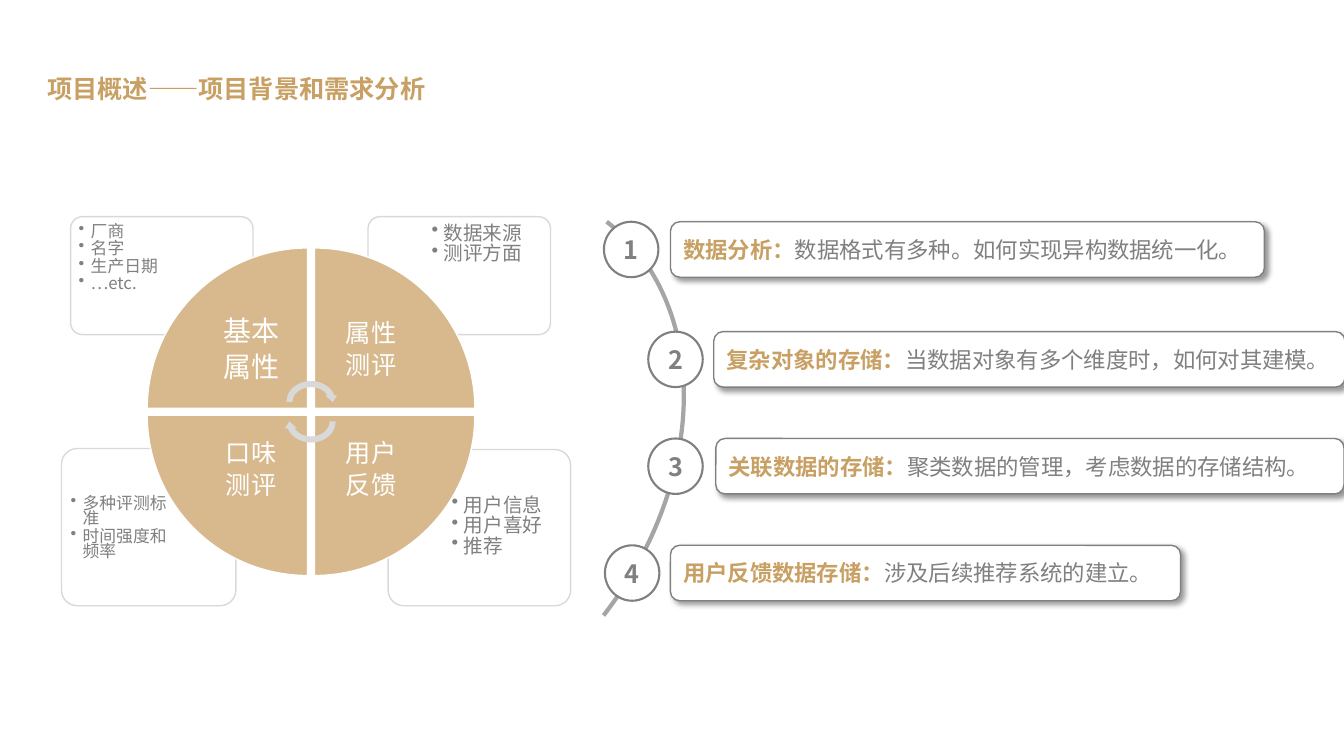
from lxml import etree
from pptx import Presentation
from pptx.dml.color import RGBColor
from pptx.enum.shapes import MSO_SHAPE
from pptx.enum.text import MSO_ANCHOR, PP_ALIGN
from pptx.oxml.ns import qn
from pptx.util import Inches, Pt

ROUND_RECT, OVAL, ARC = MSO_SHAPE.ROUNDED_RECTANGLE, MSO_SHAPE.OVAL, MSO_SHAPE.ARC
WEDGE, CYCLE_ARROW = MSO_SHAPE.PIE_WEDGE, MSO_SHAPE.CIRCULAR_ARROW
TOP, MIDDLE = MSO_ANCHOR.TOP, MSO_ANCHOR.MIDDLE
LEFT, CENTER = PP_ALIGN.LEFT, PP_ALIGN.CENTER

# Content
TITLE = "项目概述——项目背景和需求分析"
# Quadrants clockwise from top left: label, label size, column, row
QUADRANTS = [
    (["基本", "属性"], 20, 0, 0),
    (["属性", "测评"], 18, 1, 0),
    (["用户", "反馈"], 18, 1, 1),
    (["口味", "测评"], 18, 0, 1),
]
# Cards: card box, text box, text size, bullets
CARDS = [
    ((3.85, 4.46, 1.81, 1.55), (4.42, 4.88, 1.2, 1.09), 14, ["用户信息", "用户喜好", "推荐"]),
    ((0.61, 4.45, 1.73, 1.56), (0.65, 4.88, 1.14, 1.1), 12, ["多种评测标准", "时间强度和频率"]),
    ((3.65, 2.15, 1.81, 1.17), (4.22, 2.18, 1.22, 0.83), 14, ["数据来源", "测评方面"]),
    ((0.7, 2.15, 1.81, 1.17), (0.73, 2.18, 1.22, 0.83), 12, ["厂商", "名字", "生产日期", "…etc."]),
]
# Needs: circle left, bar left, top, bar width, heading, detail
NEEDS = [
    (5.99, 6.65, 2.2, 5.89, "数据分析：", "数据格式有多种。如何实现异构数据统一化。"),
    (6.43, 7.08, 3.29, 6.26, "复杂对象的存储：", "当数据对象有多个维度时，如何对其建模。"),
    (6.43, 7.1, 4.35, 6.23, "关联数据的存储：", "聚类数据的管理，考虑数据的存储结构。"),
    (6, 6.65, 5.41, 5.06, "用户反馈数据存储：", "涉及后续推荐系统的建立。"),
]

THEME = {
    "font": "Noto Sans CJK SC", "number_font": "Noto Sans CJK TC",
    "gold": "C8A063", "wedge": "D7B98D", "grey": "808080", "pale": "D9D9D9",
    "arc": "A5A5A5", "white": "FFFFFF", "shadow": "000000",
    "title": 18, "number": 18, "need": 16, "tight": 0.77,
}

prs = Presentation()
prs.slide_width, prs.slide_height = Inches(13.33), Inches(7.5)
slide = prs.slides.add_slide(prs.slide_layouts[6])


def color(name):
    return RGBColor.from_string(THEME[name])


def add_figure(preset, box, fill=None, line=None, width=1, rotation=0):
    figure = slide.shapes.add_shape(preset, *map(Inches, box))
    figure.shadow.inherit = False
    figure.rotation = rotation
    if fill:
        figure.fill.solid()
        figure.fill.fore_color.rgb = color(fill)
    else:
        figure.fill.background()
    if line:
        figure.line.color.rgb = color(line)
        figure.line.width = Pt(width)
    else:
        figure.line.fill.background()
    return figure


def add_label(box, inset, anchor=TOP):
    label = slide.shapes.add_textbox(*map(Inches, box))
    frame = label.text_frame
    frame.margin_left = frame.margin_right = Inches(inset)
    frame.margin_top = frame.margin_bottom = Inches(inset)
    frame.word_wrap, frame.vertical_anchor = True, anchor
    return frame


def style_run(run, size, ink, bold=False, font="font"):
    run.font.size, run.font.bold = Pt(size), bold
    run.font.name = THEME[font]
    run.font.color.rgb = color(ink)
    etree.SubElement(run.font._element, qn("a:ea"), typeface=THEME[font])


def style_lines(frame, lines, size, ink, align, gap):
    frame.text = "\n".join(lines)
    for paragraph in frame.paragraphs:
        paragraph.alignment = align
        paragraph.line_spacing = THEME["tight"]
        paragraph.space_after = Pt(round(size * gap, 1))
        style_run(paragraph.runs[0], size, ink)


def add_bullets(frame):
    for paragraph in frame.paragraphs:
        props = paragraph._p.get_or_add_pPr()
        props.set("marL", str(Inches(0.12)))
        props.set("indent", str(-Inches(0.12)))
        etree.SubElement(props, qn("a:buChar"), char="•")


def add_alpha(fill_parent, percent):
    tint = next(fill_parent.iter(qn("a:srgbClr")))
    etree.SubElement(tint, qn("a:alpha"), val=str(percent * 1000))


def add_drop_shadow(figure):
    effects = figure._element.spPr.find(qn("a:effectLst"))
    drop = etree.SubElement(effects, qn("a:outerShdw"), blurRad=str(Pt(4)),
                            dist=str(Pt(3)), dir=str(45 * 60000), algn="tl", rotWithShape="0")
    etree.SubElement(drop, qn("a:srgbClr"), val=THEME["shadow"])
    add_alpha(drop, 40)


# Title
title = add_label((0.37, 0.63, 12.71, 0.45), 0.05)
title.margin_left = title.margin_right = Inches(0.1)
title.text = TITLE
title.paragraphs[0].line_spacing = 1.15
title.paragraphs[0].space_before = Pt(24)
style_run(title.paragraphs[0].runs[0], THEME["title"], "gold", True)

# Cards behind the wheel
for card_box, text_box, size, bullets in CARDS:
    card = add_figure(ROUND_RECT, card_box, "white", "pale")
    card.adjustments[0] = 0.1
    add_alpha(card._element.spPr, 90)
    notes = add_label(text_box, 0.06 if size == 14 else 0.05)
    style_lines(notes, bullets, size, "grey", LEFT, 0.12)
    add_bullets(notes)

# Wheel of four wedges
WHEEL_LEFT, WHEEL_TOP, WEDGE_SIZE, WEDGE_STEP, LABEL_SIZE = 1.46, 2.46, 1.59, 1.66, 1.12
for turn, (words, size, column, row) in enumerate(QUADRANTS):
    left, top = WHEEL_LEFT + column * WEDGE_STEP, WHEEL_TOP + row * WEDGE_STEP
    add_figure(WEDGE, (left, top, WEDGE_SIZE, WEDGE_SIZE), "wedge", "white", rotation=90 * turn)
    inward = WEDGE_SIZE - LABEL_SIZE
    label_box = (left + (1 - column) * inward, top + (1 - row) * inward, LABEL_SIZE, LABEL_SIZE)
    quadrant = add_label(label_box, 0.16 if size == 20 else 0.14, MIDDLE)
    style_lines(quadrant, words, size, "white", CENTER, 0.35)

# Cycle arrows at the hub
for top, rotation in ((3.75, 0), (3.94, 180)):
    add_figure(CYCLE_ARROW, (2.81, top, 0.55, 0.48), "pale", rotation=rotation)

# Numbered needs along the arc
add_figure(ARC, (1.75, 1.55, 4.73, 6.22), line="arc", width=3, rotation=37.7)
for number, (circle_left, bar_left, top, width, heading, detail) in enumerate(NEEDS, 1):
    bar = add_figure(ROUND_RECT, (bar_left, top, width, 0.55), "white", "grey")
    add_drop_shadow(bar)
    bar.text_frame.vertical_anchor = MIDDLE
    need = bar.text_frame.paragraphs[0]
    need.alignment = LEFT
    for words, ink, bold in ((heading, "gold", True), (detail, "grey", False)):
        run = need.add_run()
        run.text = words
        style_run(run, THEME["need"], ink, bold)

    circle = add_figure(OVAL, (circle_left, top, 0.54, 0.55), "white", "grey", 1.5)
    circle.text_frame.text = str(number)
    circle.text_frame.vertical_anchor = MIDDLE
    digit = circle.text_frame.paragraphs[0]
    digit.alignment = CENTER
    style_run(digit.runs[0], THEME["number"], "grey", True, "number_font")

prs.save("out.pptx")
